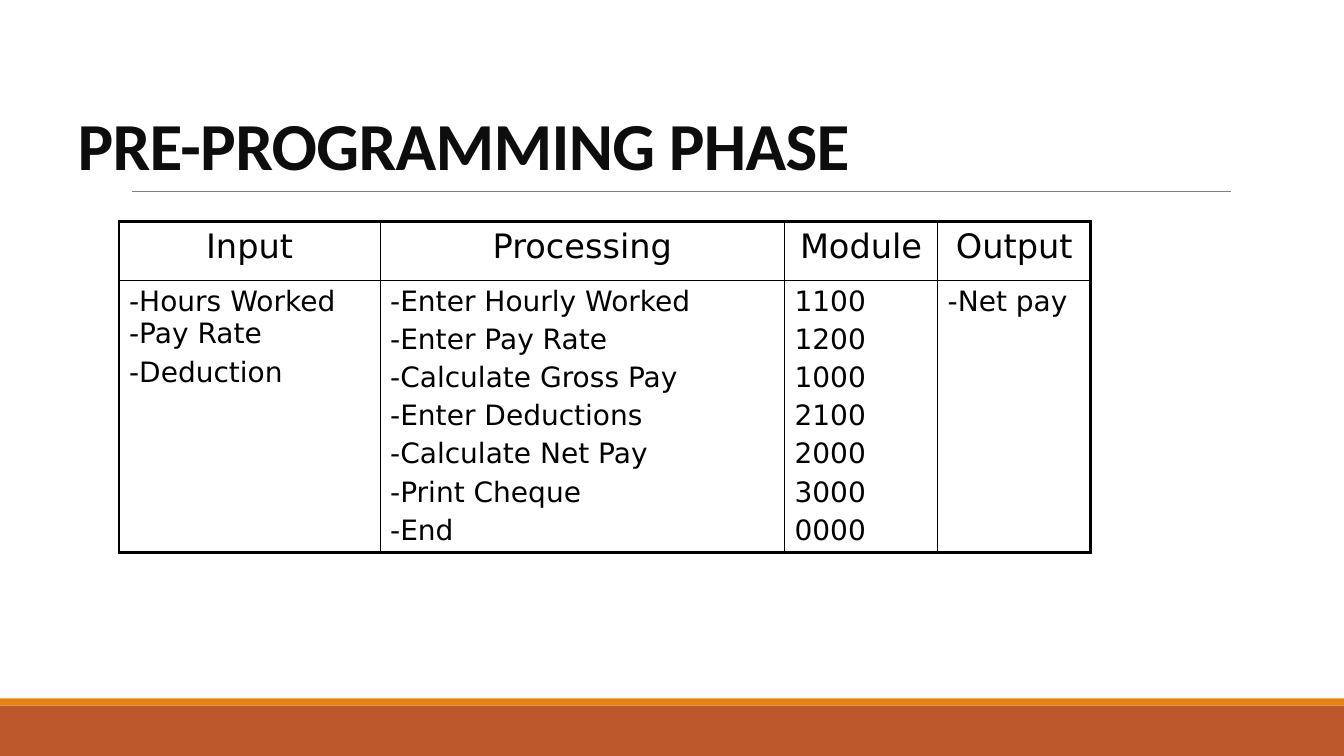
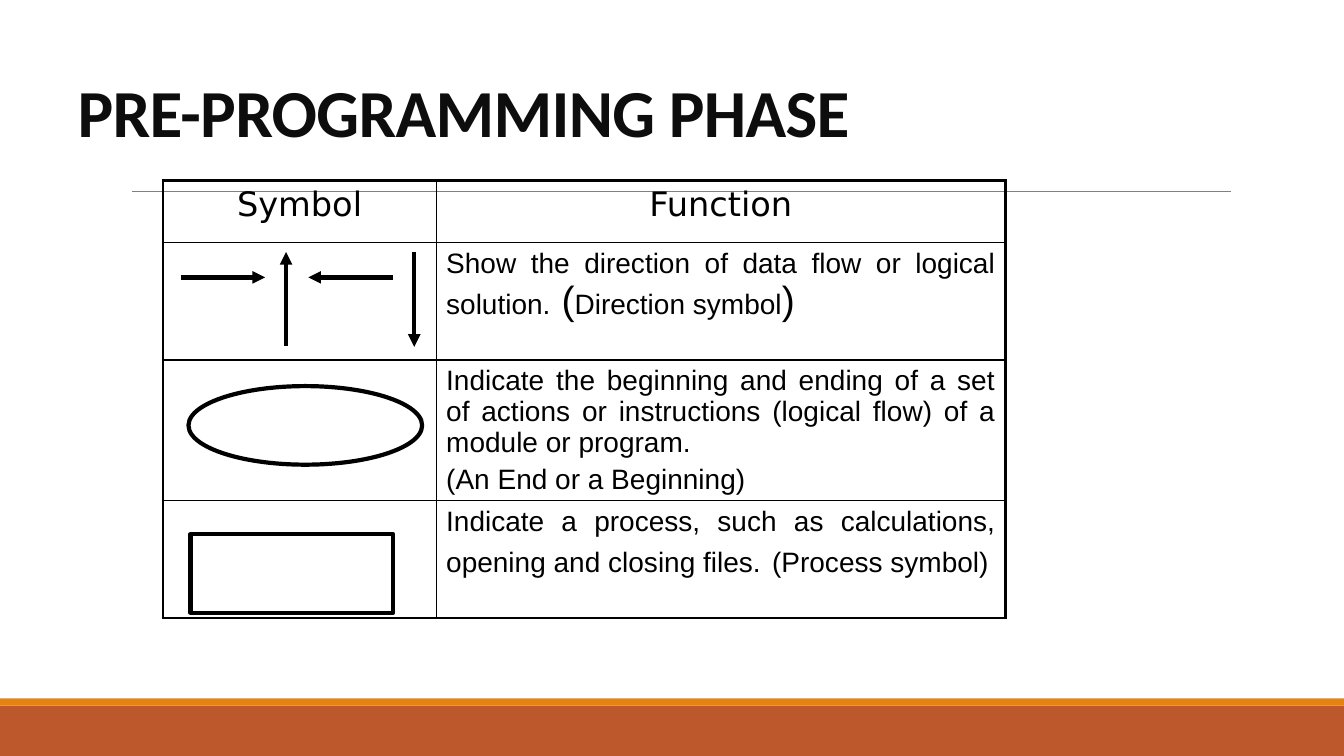
import lxml.etree
import pptx
import pptx.dml.color
import pptx.enum.shapes
import pptx.enum.text
import pptx.oxml.ns
import pptx.util

Cm = pptx.util.Cm
Pt = pptx.util.Pt
Align = pptx.enum.text.PP_ALIGN
Form = pptx.enum.shapes.MSO_SHAPE
qn = pptx.oxml.ns.qn

COLORS = {"rust": "BD582C", "amber": "E48312", "rule": "808080",
          "title": "0D0D0D", "ink": "000000", "paper": "FFFFFF"}
WIDE, HIGH = 33.87, 19.05
THIN, THICK = 1, 2.25
HEAD, BODY = 24, 20


def color(name):
    return pptx.dml.color.RGBColor.from_string(COLORS[name])


def put(para, text, size=BODY, font="DejaVu Sans", ink="ink", bold=False, track=0):
    """Add a run of text with its format to a paragraph."""
    run = para.add_run()
    run.text = text
    run.font.size = Pt(size)
    run.font.name = font
    run.font.bold = bold
    run.font.color.rgb = color(ink)
    if track:
        run.font._element.set("spc", str(round(track * 100)))


class Deck:
    """Holds the style and the current slide."""

    def __init__(self):
        self.file = pptx.Presentation()
        self.file.slide_width = Cm(WIDE)
        self.file.slide_height = Cm(HIGH)
        self.slide = None

    def start(self, title, top):
        self.slide = self.file.slides.add_slide(self.file.slide_layouts[5])
        # Bands and rule
        self.shape(Form.RECTANGLE, 0, 17.78, WIDE, 1.27, fill="rust")
        self.shape(Form.RECTANGLE, 0, 17.6, WIDE, 0.18, fill="amber")
        self.line(3.33, 4.83, 31.01, 4.83, ink="rule", width=0.5)
        # Title
        box = self.slide.shapes.title
        box.left, box.top, box.width, box.height = Cm(1.7), Cm(top), Cm(30.48), Cm(3.18)
        frame = box.text_frame
        frame.word_wrap = True
        frame.auto_size = pptx.enum.text.MSO_AUTO_SIZE.NONE
        frame.vertical_anchor = pptx.enum.text.MSO_ANCHOR.BOTTOM
        para = frame.paragraphs[0]
        para.alignment = Align.LEFT
        para.line_spacing = 0.85
        put(para, title, size=48, font="Calibri", ink="title", bold=True, track=-0.5)

    def shape(self, form, left, top, width, height, fill="paper", line=0):
        item = self.slide.shapes.add_shape(form, Cm(left), Cm(top), Cm(width), Cm(height))
        item.shadow.inherit = False
        item.fill.solid()
        item.fill.fore_color.rgb = color(fill)
        if line:
            item.line.color.rgb = color("ink")
            item.line.width = Pt(line)
        else:
            item.line.fill.background()

    def line(self, left, top, right, low, ink="ink", width=3, arrow=False):
        item = self.slide.shapes.add_connector(
            pptx.enum.shapes.MSO_CONNECTOR.STRAIGHT, Cm(left), Cm(top), Cm(right), Cm(low))
        item.line.color.rgb = color(ink)
        item.line.width = Pt(width)
        props = item._element.spPr
        if arrow:
            lxml.etree.SubElement(props.find(qn("a:ln")), qn("a:tailEnd"), type="triangle")
        lxml.etree.SubElement(props, qn("a:effectLst"))

    def edge(self, cell, side, width):
        props = cell._tc.get_or_add_tcPr()
        line = lxml.etree.SubElement(props, qn("a:ln" + side), w=str(Pt(width)))
        fill = lxml.etree.SubElement(line, qn("a:solidFill"))
        lxml.etree.SubElement(fill, qn("a:srgbClr"), val=COLORS["ink"])

    def fill(self, cell, paras, size, font, align):
        """Fill a cell; a paragraph is a string or a list of (text, size)."""
        frame = cell.text_frame
        for spot, parts in enumerate(paras):
            para = frame.add_paragraph() if spot else frame.paragraphs[0]
            para.alignment = align
            if spot:
                para.space_before = Pt(4)
            if isinstance(parts, str):
                parts = [(parts, size)]
            for text, points in parts:
                put(para, text, size=points, font=font)

    def table(self, left, top, cols, rows, heads, body, font, align):
        grid = self.slide.shapes.add_table(
            len(rows), len(cols), Cm(left), Cm(top), Cm(sum(cols)), Cm(sum(rows))).table
        grid.first_row = grid.horz_banding = False
        for col, width in zip(grid.columns, cols):
            col.width = Cm(width)
        for row, height in zip(grid.rows, rows):
            row.height = Cm(height)
        cells = [[[head] for head in heads]] + body
        for y, row in enumerate(cells):
            for x, paras in enumerate(row):
                cell = grid.cell(y, x)
                outer = {"L": x == 0, "R": x == len(cols) - 1,
                         "T": y == 0, "B": y == len(rows) - 1}
                for side, rim in outer.items():
                    self.edge(cell, side, THICK if rim else THIN)
                cell.fill.background()
                if y:
                    self.fill(cell, paras, BODY, font, align)
                else:
                    self.fill(cell, paras, HEAD, "DejaVu Sans", Align.CENTER)


def main():
    deck = Deck()
    title = "PRE-PROGRAMMING PHASE"

    # Input, processing and output chart
    deck.start(title, 1.6)
    steps = [("-Enter Hourly Worked", "1100"), ("-Enter Pay Rate", "1200"),
             ("-Calculate Gross Pay", "1000"), ("-Enter Deductions", "2100"),
             ("-Calculate Net Pay", "2000"), ("-Print Cheque", "3000"), ("-End", "0000")]
    tasks, codes = zip(*steps)
    deck.table(3, 5.59, [6.58, 10.19, 3.86, 3.86], [1.47, 6.86],
               ["Input", "Processing", "Module", "Output"],
               [[["-Hours Worked -Pay Rate", "-Deduction"], tasks, codes, ["-Net pay"]]],
               font="DejaVu Sans", align=Align.LEFT)

    # Flowchart symbols
    deck.start(title, 0.76)
    flow = [[("Show the direction of data flow or logical solution.", BODY), (" (", 28),
             ("Direction symbol", BODY), (")", 28)]]
    ends = ["Indicate the beginning and ending of a set of actions or instructions "
            "(logical flow) of a module or program.", "(An End or a Beginning)"]
    work = [[("Indicate a process, such as calculations, opening and closing files.", BODY),
             (" ", 28), ("(Process symbol)", BODY)]]
    deck.table(4.11, 4.55, [6.88, 14.35], [1.57, 2.95, 3.55, 2.95],
               ["Symbol", "Function"], [[[], flow], [[], ends], [[], work]],
               font="Arial", align=Align.JUSTIFY)
    for ray in [(4.55, 6.99, 6.68, 6.99), (7.21, 8.71, 7.21, 6.35),
                (10.44, 6.35, 10.44, 8.74), (9.91, 6.99, 7.77, 6.99)]:
        deck.line(*ray, arrow=True)
    deck.shape(Form.OVAL, 4.75, 9.73, 5.89, 1.98, line=3)
    deck.shape(Form.RECTANGLE, 4.8, 13.46, 5.11, 1.98, line=3)

    deck.file.save("out.pptx")


if __name__ == "__main__":
    main()
